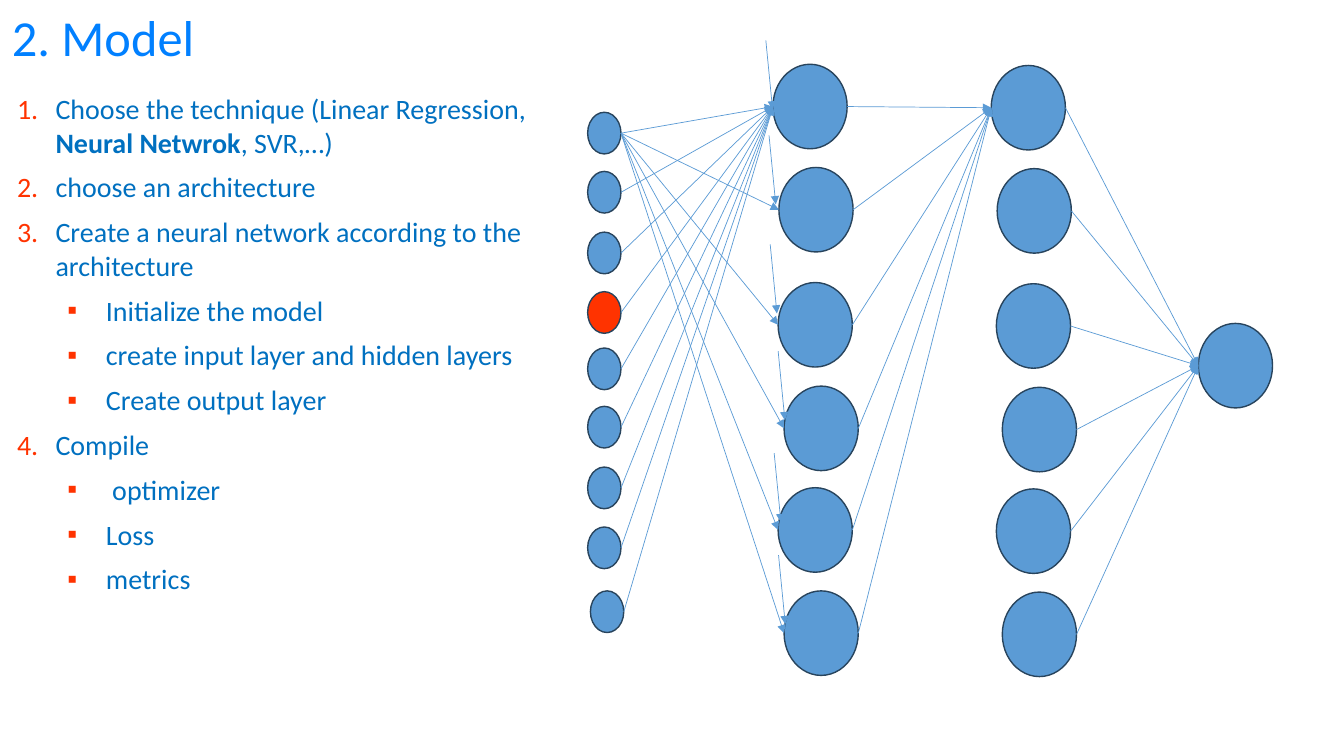
import pptx
import pptx.util
import pptx.dml.color
import pptx.enum.shapes
import pptx.enum.text
import pptx.oxml.ns
import lxml.etree

Cm, Pt = pptx.util.Cm, pptx.util.Pt
qn = pptx.oxml.ns.qn

COLORS = {"title": "0180FF", "text": "0070C0", "accent": "FF3300",
          "node": "5B9BD5", "outline": "28445D"}
FONT = "Calibri"
TITLE = "2. Model"
STEPS = [
    (0, ["Choose the technique (Linear Regression, ", "Neural Netwrok", ", SVR,…)"]),
    (0, ["choose an architecture"]),
    (0, ["Create a neural network according to the architecture"]),
    (1, ["Initialize the model"]),
    (1, ["create input layer and hidden layers"]),
    (1, ["Create output layer"]),
    (0, ["Compile"]),
    (1, [" optimizer"]),
    (1, ["Loss"]),
    (1, ["metrics"]),
]
BOLD = {"Neural Netwrok"}

INPUT_SIZE = (0.84, 1.05)
NEURON_SIZE = (1.87, 2.13)
INPUTS = [(14.81, y) for y in (2.83, 4.32, 5.85, 7.35, 8.77, 10.24, 11.77, 13.28)] + [(14.88, 14.89)]
HIDDEN_1 = [(19.48, 1.62), (19.63, 4.22), (19.61, 7.12), (19.76, 9.73), (19.61, 12.29), (19.76, 14.89)]
HIDDEN_2 = [(x + 5.5, y + 0.03) for x, y in HIDDEN_1]
OUTPUT = (30.2, 8.15)
RED_INPUT = 3
BIAS_STARTS = [(19.3, 1.02), (19.38, 3.41), (19.41, 6.16), (19.61, 8.85), (19.51, 11.42), (19.62, 13.99)]
BIAS_STEP = (0.17, 1.74)


def rgb(name):
    return pptx.dml.color.RGBColor.from_string(COLORS[name])


def add_text(s, left, top, width, height):
    tf = s.shapes.add_textbox(Cm(left), Cm(top), Cm(width), Cm(height)).text_frame
    tf.word_wrap = True
    tf.auto_size = pptx.enum.text.MSO_AUTO_SIZE.SHAPE_TO_FIT_TEXT
    return tf


def format_run(r, size, color):
    r.font.name = FONT
    r.font.size = Pt(size)
    r.font.color.rgb = rgb(color)


def add_bullet(p, level):
    pPr = p._p.get_or_add_pPr()
    pPr.set("marL", str(Cm(0.97 + 1.27 * level)))
    pPr.set("indent", str(Cm(-0.97)))
    color = lxml.etree.SubElement(pPr, qn("a:buClr"))
    lxml.etree.SubElement(color, qn("a:srgbClr"), val=COLORS["accent"])
    if level:
        lxml.etree.SubElement(pPr, qn("a:buFont"), typeface="Arial")
        lxml.etree.SubElement(pPr, qn("a:buChar"), char="▪")
    else:
        lxml.etree.SubElement(pPr, qn("a:buFont"), typeface=FONT)
        lxml.etree.SubElement(pPr, qn("a:buAutoNum"), type="arabicPeriod")


def add_node(s, place, size, fill="node"):
    sp = s.shapes.add_shape(pptx.enum.shapes.MSO_SHAPE.OVAL, *map(Cm, place + size))
    sp.shadow.inherit = False
    sp.fill.solid()
    sp.fill.fore_color.rgb = rgb(fill)
    sp.line.color.rgb = rgb("outline")
    sp.line.width = Pt(1)


def add_arrow(s, start, end):
    line = s.shapes.add_connector(pptx.enum.shapes.MSO_CONNECTOR.STRAIGHT, *map(Cm, start + end))
    line.line.color.rgb = rgb("node")
    line.line.width = Pt(0.5)
    spPr = line._element.spPr
    lxml.etree.SubElement(spPr.find(qn("a:ln")), qn("a:tailEnd"), type="triangle")
    lxml.etree.SubElement(spPr, qn("a:effectLst"))


def left_side(place, size):
    return place[0], place[1] + size[1] / 2


def right_side(place, size):
    return place[0] + size[0], place[1] + size[1] / 2


def main():
    prs = pptx.Presentation()
    prs.slide_width, prs.slide_height = Cm(33.87), Cm(19.05)
    s = prs.slides.add_slide(prs.slide_layouts[6])

    tf = add_text(s, 0.05, 0.03, 33.82, 1.8)
    tf.text = TITLE
    format_run(tf.paragraphs[0].runs[0], 36, "title")

    tf = add_text(s, 0.18, 2.18, 13.89, 14.22)
    for i, (level, parts) in enumerate(STEPS):
        p = tf.add_paragraph() if i else tf.paragraphs[0]
        p.level = level
        add_bullet(p, level)
        p.space_after = Pt(8)
        for part in parts:
            r = p.add_run()
            r.text = part
            format_run(r, 20, "text")
            r.font.bold = part in BOLD

    for i, place in enumerate(INPUTS):
        add_node(s, place, INPUT_SIZE, "accent" if i == RED_INPUT else "node")
    for place in HIDDEN_1 + HIDDEN_2 + [OUTPUT]:
        add_node(s, place, NEURON_SIZE)

    input_exits = [right_side(n, INPUT_SIZE) for n in INPUTS]
    hidden_entries = [left_side(n, NEURON_SIZE) for n in HIDDEN_1]
    arrows = [(input_exits[0], entry) for entry in hidden_entries]
    arrows += [((x, y), (x + BIAS_STEP[0], y + BIAS_STEP[1])) for x, y in BIAS_STARTS]
    arrows += [(exit_point, hidden_entries[0]) for exit_point in input_exits[1:]]
    for layer, target in ((HIDDEN_1, HIDDEN_2[0]), (HIDDEN_2, OUTPUT)):
        arrows += [(right_side(n, NEURON_SIZE), left_side(target, NEURON_SIZE)) for n in layer]
    for start, end in arrows:
        add_arrow(s, start, end)

    prs.save("out.pptx")


if __name__ == "__main__":
    main()
